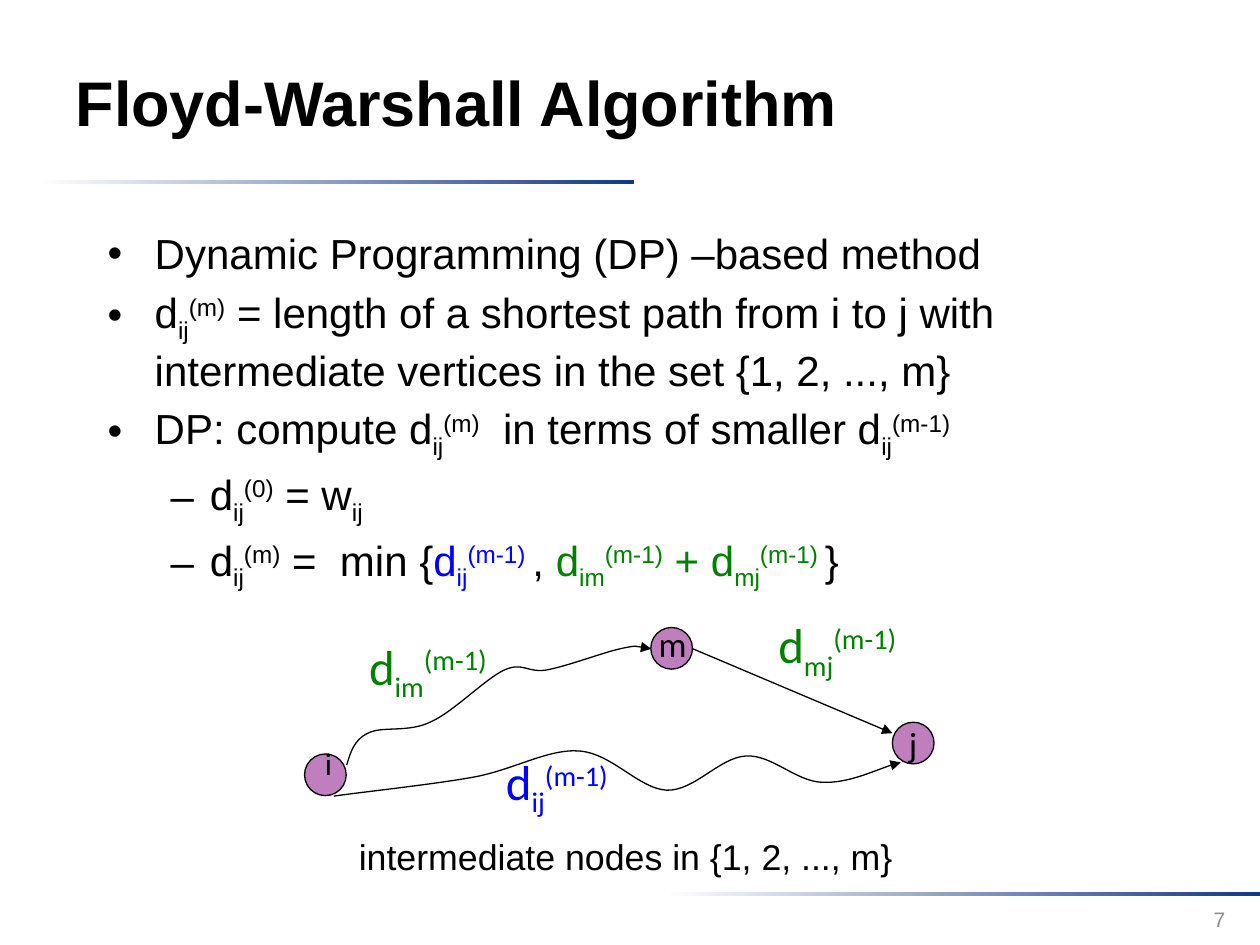
from lxml import etree
from pptx import Presentation
from pptx import util as u
from pptx.dml.color import RGBColor
from pptx.enum import shapes, text
from pptx.oxml.ns import qn

COLOURS = {"black": "000000", "blue": "0000FF", "green": "008000",
           "purple": "800080", "navy": "133984", "white": "FFFFFF", "grey": "8C8C8C"}
BASELINES = {"sub": "-25000", "sup": "30000"}
NODE_SIZE = 0.84


def colour(name):
    return RGBColor.from_string(COLOURS[name])


def box(left, top, width, height):
    return [u.Cm(value) for value in (left, top, width, height)]


def distance(sub, sup, name="black"):
    return [("d", name, None), (sub, name, "sub"), (sup, name, "sup")]


def plain(words, name="black"):
    return [(words, name, None)]


def write(paragraph, runs, size, font="Arial", bold=False):
    for words, name, level in runs:
        run = paragraph.add_run()
        run.text = words
        run.font.size, run.font.name, run.font.bold = u.Pt(size), font, bold
        run.font.color.rgb = colour(name)
        if level:
            run.font._element.set("baseline", BASELINES[level])


def add_label(slide, place, runs, size, font="Calibri", wrap=False):
    label = slide.shapes.add_textbox(*box(*place))
    label.text_frame.word_wrap = wrap
    write(label.text_frame.paragraphs[0], runs, size, font)
    return label


def add_title(slide, words):
    title = slide.shapes.title
    title.left, title.top, title.width, title.height = box(1.27, 0.46, 19.63, 3.18)
    title.text_frame.vertical_anchor = text.MSO_ANCHOR.MIDDLE
    paragraph = title.text_frame.paragraphs[0]
    paragraph.alignment = text.PP_ALIGN.LEFT
    write(paragraph, plain(words), 36, bold=True)


def add_rule(slide, left, top):
    rule = slide.shapes.add_shape(shapes.MSO_SHAPE.RECTANGLE, *box(left, top, 11.99, 0.08))
    rule.shadow.inherit = False
    rule.line.fill.background()
    rule.fill.gradient()
    rule.fill.gradient_angle = 0
    for stop, position, name in zip(rule.fill.gradient_stops, (0, 1), ("white", "navy")):
        stop.position = position
        stop.color.rgb = colour(name)


def add_bullet(paragraph, mark, margin, hanging):
    properties = paragraph._p.get_or_add_pPr()
    properties.set("marL", str(u.Cm(margin)))
    properties.set("indent", str(-u.Cm(hanging)))
    etree.SubElement(properties, qn("a:buFont")).set("typeface", "Arial")
    etree.SubElement(properties, qn("a:buChar")).set("char", mark)


def add_body(slide, items, caption):
    frame = slide.shapes.add_textbox(*box(1.92, 4.47, 21.59, 13.82)).text_frame
    frame.word_wrap = True
    for index, (level, runs) in enumerate(items):
        paragraph = frame.add_paragraph() if index else frame.paragraphs[0]
        paragraph.level = level
        paragraph.space_before = u.Pt(4.8)
        add_bullet(paragraph, *(("•", 0.95, 0.95), ("–", 2.06, 0.79))[level])
        write(paragraph, runs, 24)
    paragraph = frame.add_paragraph()
    paragraph.alignment = text.PP_ALIGN.CENTER
    paragraph.space_before = u.Pt(139)
    write(paragraph, plain(caption), 20.4)


def add_node(slide, left, top, name=""):
    node = slide.shapes.add_shape(shapes.MSO_SHAPE.OVAL, *box(left, top, NODE_SIZE, NODE_SIZE))
    node.shadow.inherit = False
    node.fill.solid()
    node.fill.fore_color.rgb = colour("purple")
    solid = node._element.spPr.find(qn("a:solidFill"))
    etree.SubElement(solid[0], qn("a:alpha")).set("val", "50000")
    node.line.color.rgb = colour("black")
    node.line.width = u.Pt(0.75)
    if name:
        frame = node.text_frame
        frame.word_wrap = False
        frame.vertical_anchor = text.MSO_ANCHOR.MIDDLE
        frame.paragraphs[0].alignment = text.PP_ALIGN.CENTER
        write(frame.paragraphs[0], plain(name), 20, "Calibri")


def style_arrow(arrow):
    arrow.line.color.rgb = colour("black")
    arrow.line.width = u.Pt(0.75)
    etree.SubElement(arrow.line._get_or_add_ln(), qn("a:tailEnd")).set("type", "triangle")
    etree.SubElement(arrow._element.spPr, qn("a:effectLst"))


def add_straight_arrow(slide, start, end):
    ends = [u.Cm(value) for value in start + end]
    style_arrow(slide.shapes.add_connector(shapes.MSO_CONNECTOR.STRAIGHT, *ends))


def add_curved_arrow(slide, points):
    start, *others = [(u.Cm(x), u.Cm(y)) for x, y in points]
    builder = slide.shapes.build_freeform(*start)
    builder.add_line_segments(others, close=False)
    arrow = builder.convert_to_shape()
    arrow.fill.background()
    outline = next(arrow._element.iter(qn("a:path")))
    segments = outline.findall(qn("a:lnTo"))
    for first in range(0, len(segments), 3):
        curve = etree.SubElement(outline, qn("a:cubicBezTo"))
        for segment in segments[first:first + 3]:
            curve.append(segment[0])
            outline.remove(segment)
    style_arrow(arrow)


def add_graph(slide):
    add_node(slide, 6.14, 15.2)
    add_node(slide, 13.12, 12.65)
    add_node(slide, 17.99, 14.56, "j")
    add_curved_arrow(slide, [
        (6.99, 15.42), (7.07, 15.16), (7.14, 14.91), (7.42, 14.78),
        (7.7, 14.63), (8.23, 14.78), (8.69, 14.55), (9.14, 14.35), (9.78, 13.69),
        (10.16, 13.51), (10.54, 13.34), (10.62, 13.56), (11, 13.51),
        (11.41, 13.44), (12.14, 13.16), (12.5, 13.08),
        (12.85, 13), (12.98, 13.06), (13.13, 13.08)])
    add_curved_arrow(slide, [
        (6.73, 16.05), (7.19, 15.98), (8.69, 15.82), (9.53, 15.67),
        (10.36, 15.52), (11.05, 15.09), (11.68, 15.14),
        (12.34, 15.19), (12.88, 15.9), (13.44, 15.93),
        (14, 15.95), (14.5, 15.27), (15.04, 15.24),
        (15.55, 15.21), (16.05, 15.75), (16.56, 15.77),
        (17.09, 15.8), (17.83, 15.44), (18.16, 15.37)])
    add_straight_arrow(slide, (13.97, 13.08), (17.99, 14.78))
    add_label(slide, (6.3, 14.88, 0.74, 1.27), plain("i"), 18)
    add_label(slide, (13.03, 12.42, 1.07, 1.09), plain("m"), 20)
    for place, sub, name in (((7.19, 12.7, 3.2, 1.45), "im", "green"),
                             ((15.44, 12.27, 3.18, 1.45), "mj", "green"),
                             ((9.95, 15.03, 2.82, 1.45), "ij", "blue")):
        add_label(slide, place, distance(sub, "(m-1)", name), 28)


def main():
    presentation = Presentation()
    presentation.slide_width, presentation.slide_height = u.Cm(25.4), u.Cm(19.05)
    slide = presentation.slides.add_slide(presentation.slide_layouts[5])
    add_rule(slide, 0.79, 3.63)
    add_rule(slide, 13.41, 17.98)
    add_title(slide, "Floyd-Warshall Algorithm")
    items = [
        (0, plain("Dynamic Programming (DP) –based method")),
        (0, distance("ij", "(m)") + plain(
            " = length of a shortest path from i to j with "
            "intermediate vertices in the set {1, 2, ..., m}")),
        (0, plain("DP: compute ") + distance("ij", "(m)")
         + plain("  in terms of smaller ") + distance("ij", "(m-1)")),
        (1, distance("ij", "(0)") + plain(" = w") + [("ij", "black", "sub")]),
        (1, distance("ij", "(m)") + plain(" =  min {")
         + distance("ij", "(m-1) ", "blue") + plain(", ")
         + distance("im", "(m-1)", "green") + plain(" + ", "green")
         + distance("mj", "(m-1) ", "green") + plain("}")),
    ]
    add_body(slide, items, "intermediate nodes in {1, 2, ..., m} ")
    add_graph(slide)
    number = add_label(slide, (19.02, 18.01, 5.93, 1.02), plain("7", "grey"), 12, "Arial", True)
    number.text_frame.vertical_anchor = text.MSO_ANCHOR.MIDDLE
    number.text_frame.paragraphs[0].alignment = text.PP_ALIGN.RIGHT
    presentation.save("out.pptx")


main()
